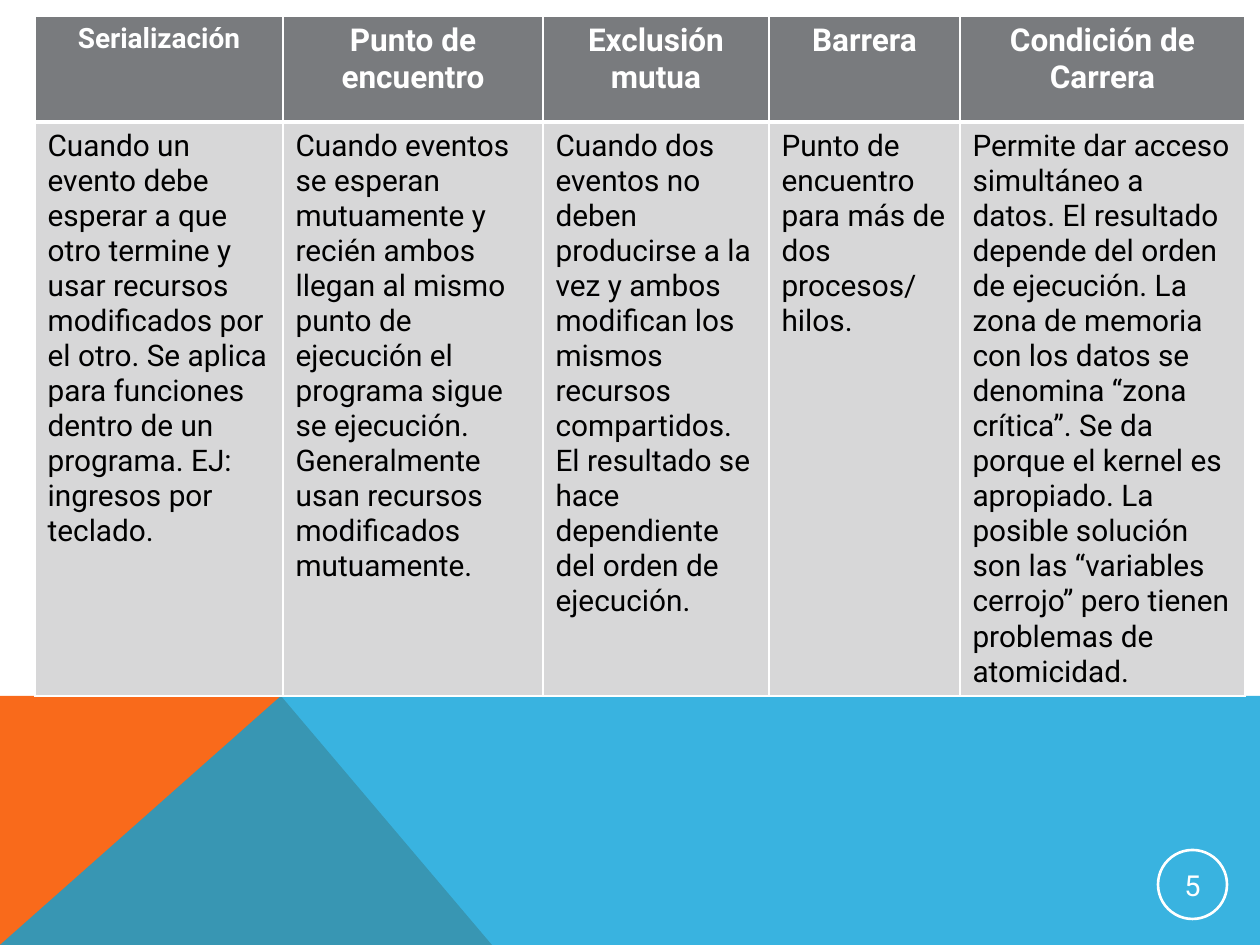
from dataclasses import dataclass

import lxml.etree
import pptx
import pptx.dml.color
import pptx.enum.shapes
import pptx.enum.text
import pptx.oxml.ns
import pptx.util

EMU_PER_PX = 914400 / 126
FONT = "Roboto"
WHITE = "FFFFFF"
ALIGN = pptx.enum.text.PP_ALIGN
qn = pptx.oxml.ns.qn


@dataclass
class Column:
    width: int
    heading: str
    body: str
    heading_size: float = 18


@dataclass
class Band:
    points: list[tuple[int, int]]
    color: str
    opacity: int = 100


COLUMNS = [
    Column(248, "Serialización",
           "Cuando un evento debe esperar a que otro termine y usar recursos "
           "modificados por el otro. Se aplica para funciones dentro de un "
           "programa. EJ: ingresos por teclado.", 16),
    Column(260, "Punto de encuentro",
           "Cuando eventos se esperan mutuamente y recién ambos llegan al mismo "
           "punto de ejecución el programa sigue se ejecución. Generalmente usan "
           "recursos modificados mutuamente."),
    Column(226, "Exclusión mutua",
           "Cuando dos eventos no deben producirse a la vez y ambos modifican los "
           "mismos recursos compartidos. El resultado se hace dependiente del "
           "orden de ejecución."),
    Column(191, "Barrera",
           "Punto de encuentro para más de dos procesos/ hilos."),
    Column(285, "Condición de Carrera",
           "Permite dar acceso simultáneo a datos. El resultado depende del orden "
           "de ejecución. La zona de memoria con los datos se denomina “zona "
           "crítica”. Se da porque el kernel es apropiado. La posible solución son "
           "las “variables cerrojo” pero tienen problemas de atomicidad."),
]
ROW_HEIGHTS = [106, 574]

BANDS = [
    Band([(0, 945), (0, 696), (281, 696), (492, 945)], "F96A1B"),
    Band([(0, 945), (281, 696), (1260, 696), (1260, 945)], "08A1D9", 80),
]


def px(n: int) -> int:
    return pptx.util.Emu(round(n * EMU_PER_PX))


def rgb(color: str) -> pptx.dml.color.RGBColor:
    return pptx.dml.color.RGBColor.from_string(color)


def set_fill(fill, color: str) -> None:
    fill.solid()
    fill.fore_color.rgb = rgb(color)


def write(tf, text: str, color: str, align, **font) -> None:
    p = tf.paragraphs[0]
    p.alignment = align
    r = p.add_run()
    r.text = text
    for name, value in {"name": FONT, **font}.items():
        setattr(r.font, name, value)
    r.font.color.rgb = rgb(color)


def set_borders(cell, widths: dict[str, float]) -> None:
    """Put white borders before the cell's fill, as the schema orders them."""
    tc_pr = cell._tc.get_or_add_tcPr()
    for i, (side, width) in enumerate(widths.items()):
        ln = lxml.etree.Element(qn(f"a:ln{side}"), w=str(pptx.util.Pt(width)))
        solid = lxml.etree.SubElement(ln, qn("a:solidFill"))
        lxml.etree.SubElement(solid, qn("a:srgbClr"), val=WHITE)
        tc_pr.insert(i, ln)


def draw_band(s, band: Band) -> None:
    builder = s.shapes.build_freeform(*band.points[0], scale=EMU_PER_PX)
    builder.add_line_segments(band.points[1:], close=True)
    sp = builder.convert_to_shape()
    sp.shadow.inherit = False
    sp.line.fill.background()
    set_fill(sp.fill, band.color)
    if band.opacity < 100:
        clr = sp._element.spPr.find(qn("a:solidFill")).find(qn("a:srgbClr"))
        lxml.etree.SubElement(clr, qn("a:alpha"), val=str(band.opacity * 1000))


def draw_table(s, left: int, top: int) -> None:
    width = sum(c.width for c in COLUMNS)
    table = s.shapes.add_table(2, len(COLUMNS), px(left), px(top),
                               px(width), px(sum(ROW_HEIGHTS))).table
    for row, height in zip(table.rows, ROW_HEIGHTS):
        row.height = px(height)
    for i, column in enumerate(COLUMNS):
        table.columns[i].width = px(column.width)
        head, body = table.cell(0, i), table.cell(1, i)
        write(head.text_frame, column.heading, WHITE, ALIGN.CENTER,
              size=pptx.util.Pt(column.heading_size), bold=True)
        write(body.text_frame, column.body, "000000", ALIGN.LEFT,
              size=pptx.util.Pt(17), bold=False)
        set_fill(head.fill, "797B7E")
        set_fill(body.fill, "D7D7D8")
        set_borders(head, {"L": 1, "R": 1, "T": 1, "B": 3})
        set_borders(body, {"L": 1, "R": 1, "T": 3, "B": 1})


def draw_page_number(s, left: int, top: int, size: int, number: str) -> None:
    sp = s.shapes.add_shape(pptx.enum.shapes.MSO_SHAPE.OVAL,
                            px(left), px(top), px(size), px(size))
    sp.shadow.inherit = False
    sp.fill.background()
    sp.line.color.rgb = rgb(WHITE)
    sp.line.width = pptx.util.Pt(1.5)
    tf = sp.text_frame
    margins = {f"margin_{side}": px(1) for side in ("left", "top", "right", "bottom")}
    anchor = pptx.enum.text.MSO_ANCHOR.MIDDLE
    for name, value in {**margins, "vertical_anchor": anchor}.items():
        setattr(tf, name, value)
    write(tf, number, WHITE, ALIGN.CENTER, size=pptx.util.Pt(16.5))


def main() -> None:
    prs = pptx.Presentation()
    prs.slide_width, prs.slide_height = px(1260), px(945)
    s = prs.slides.add_slide(prs.slide_layouts[6])

    # Coloured bands along the bottom
    for band in BANDS:
        draw_band(s, band)

    # Comparison table and page number
    draw_table(s, 35, 16)
    draw_page_number(s, 1158, 850, 69, "5")

    prs.save("out.pptx")


if __name__ == "__main__":
    main()
